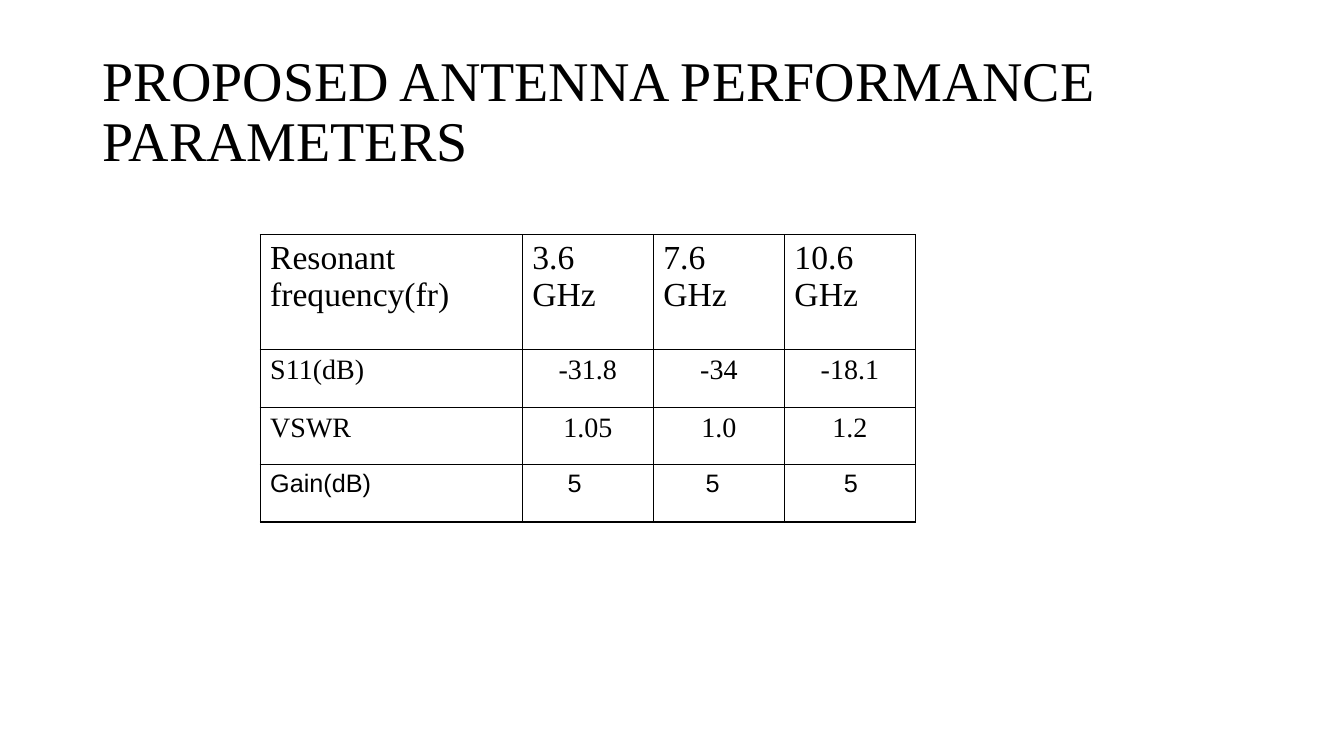
from lxml import etree
from pptx import Presentation
from pptx.dml.color import RGBColor
from pptx.enum.text import MSO_ANCHOR, MSO_AUTO_SIZE, PP_ALIGN
from pptx.oxml.ns import qn
from pptx.util import Inches, Pt

BLACK = RGBColor(0x00, 0x00, 0x00)
LEFT, CENTER = PP_ALIGN.LEFT, PP_ALIGN.CENTER
MIDDLE = MSO_ANCHOR.MIDDLE
NO_AUTOFIT = MSO_AUTO_SIZE.NONE
SERIF, SANS = "Times New Roman", "Arial"
TITLE_ONLY = 5

# Table grid, in inches
COLUMN, ROW = 1.3, 0.57
COLUMN_SPANS = [2, 1, 1, 1]
ROW_SPANS = [2, 1, 1, 1]

# Each row: texts, size, font, alignment of the values
PARAMETERS = [
    (["Resonant frequency(fr)", "3.6\nGHz", "7.6\nGHz", "10.6\nGHz"], 24, SERIF, LEFT),
    (["S11(dB)", "-31.8", "-34", "-18.1"], 20, SERIF, CENTER),
    (["VSWR", "1.05", "1.0", "1.2"], 20, SERIF, CENTER),
    (["Gain(dB)", "5", "5", "5"], 18, SANS, LEFT),
]
GAIN_ROW = 3


class AntennaSlide:
    """Holds the slide and its style."""

    def __init__(self, presentation):
        self.color = BLACK
        self.border = Pt(1)
        self.slide = presentation.slides.add_slide(presentation.slide_layouts[TITLE_ONLY])

    def style(self, paragraph, size, font, alignment=LEFT):
        paragraph.alignment = alignment
        paragraph.font.size = Pt(size)
        paragraph.font.name = font
        paragraph.font.color.rgb = self.color

    def title(self, text, left, top, width, height):
        title = self.slide.shapes.title
        title.left, title.top = Inches(left), Inches(top)
        title.width, title.height = Inches(width), Inches(height)
        frame = title.text_frame
        frame.text = text
        frame.word_wrap = True
        frame.auto_size = NO_AUTOFIT
        frame.vertical_anchor = MIDDLE
        paragraph = frame.paragraphs[0]
        paragraph.line_spacing = 0.9
        self.style(paragraph, 40, SERIF)

    def outline(self, cell):
        properties = cell._tc.get_or_add_tcPr()
        for side in ("a:lnL", "a:lnR", "a:lnT", "a:lnB"):
            line = etree.SubElement(properties, qn(side), w=str(self.border))
            fill = etree.SubElement(line, qn("a:solidFill"))
            etree.SubElement(fill, qn("a:srgbClr"), val=str(self.color))

    def table(self, rows, left, top):
        frame = self.slide.shapes.add_table(
            len(ROW_SPANS), len(COLUMN_SPANS), Inches(left), Inches(top),
            Inches(COLUMN * sum(COLUMN_SPANS)), Inches(ROW * sum(ROW_SPANS)))
        table = frame.table
        table.first_row = table.horz_banding = False
        for column, span in zip(table.columns, COLUMN_SPANS):
            column.width = Inches(COLUMN * span)
        for row, span in zip(table.rows, ROW_SPANS):
            row.height = Inches(ROW * span)
        for row_index, (texts, size, font, alignment) in enumerate(rows):
            for column_index, text in enumerate(texts):
                cell = table.cell(row_index, column_index)
                cell.text = text
                self.outline(cell)
                cell.fill.background()
                for paragraph in cell.text_frame.paragraphs:
                    self.style(paragraph, size, font, alignment if column_index else LEFT)
        return table


def main():
    presentation = Presentation()
    presentation.slide_width, presentation.slide_height = Inches(13.33), Inches(7.5)
    antenna = AntennaSlide(presentation)

    # Title
    antenna.title("PROPOSED ANTENNA PERFORMANCE PARAMETERS", 0.92, 0.4, 11.5, 1.45)

    # Performance table, with gain values indented a little more in each column
    table = antenna.table(PARAMETERS, 2.58, 2.33)
    for column_index in range(1, len(COLUMN_SPANS)):
        table.cell(GAIN_ROW, column_index).margin_left = Inches(0.38 + 0.07 * column_index)

    presentation.save("out.pptx")


if __name__ == "__main__":
    main()
